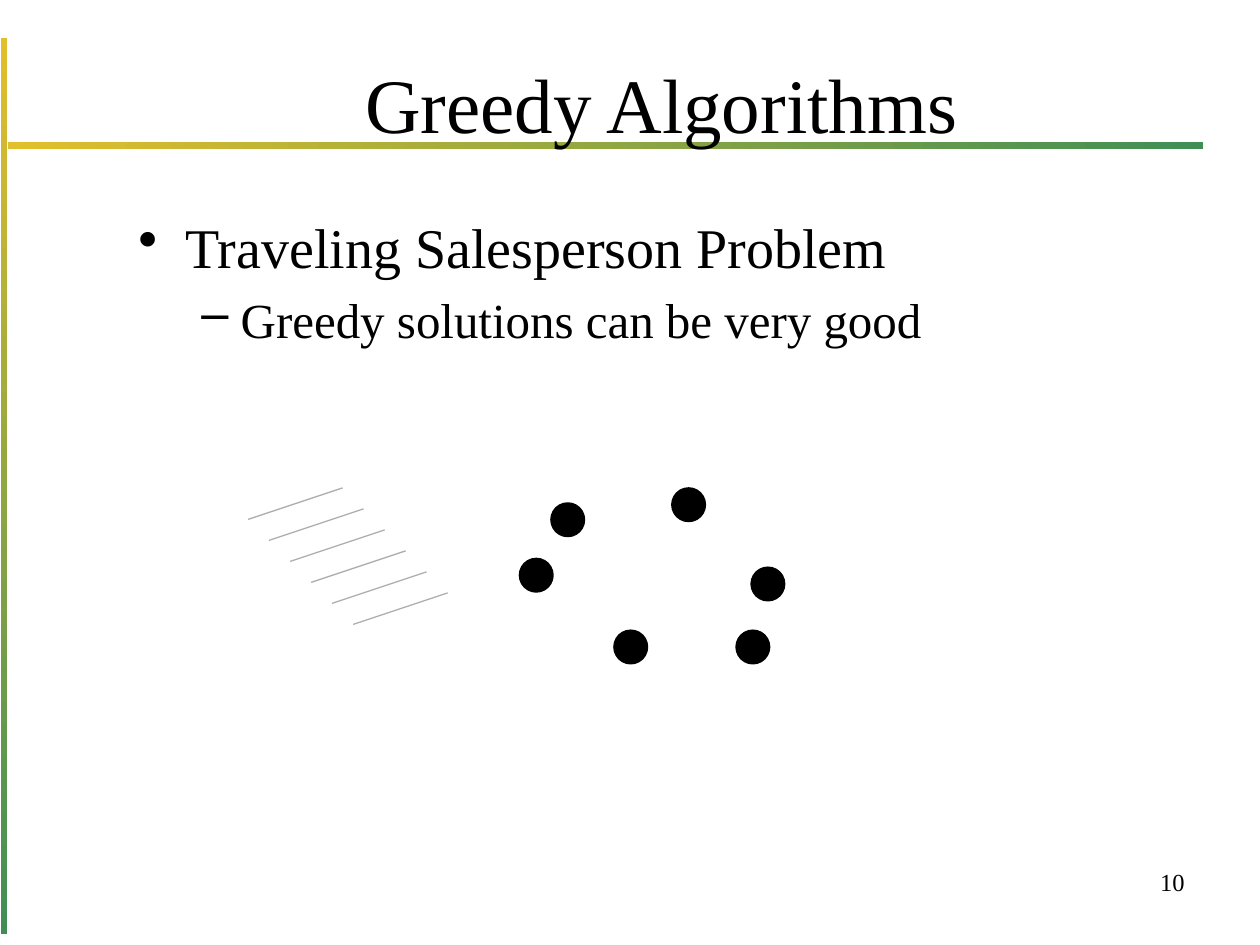
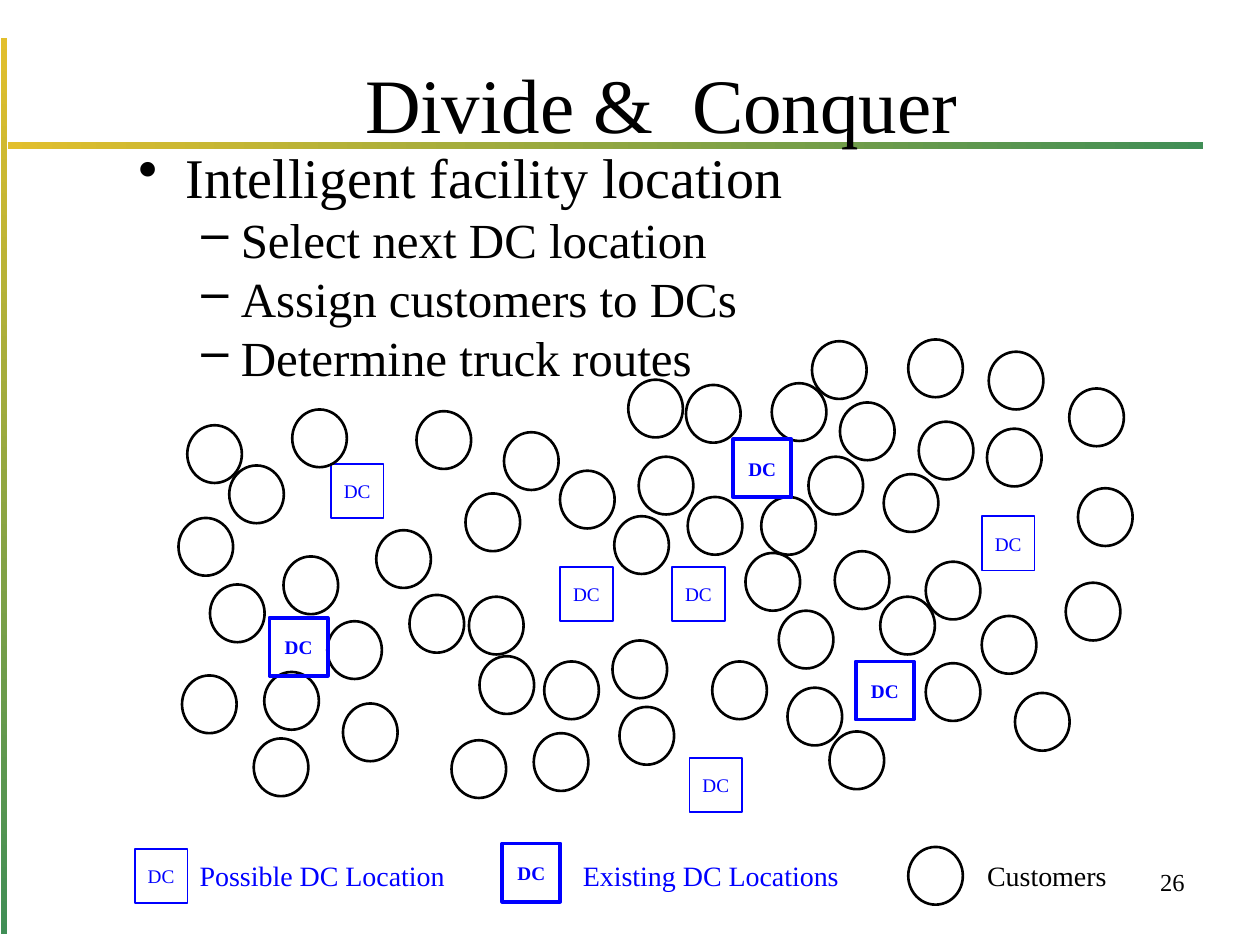
from dataclasses import dataclass

from lxml.etree import SubElement
from pptx import Presentation
from pptx.dml.color import RGBColor as RGB
from pptx.enum.shapes import MSO_CONNECTOR as CONN, MSO_SHAPE as SHAPE
from pptx.enum.text import MSO_ANCHOR as ANCHOR, MSO_AUTO_SIZE as AUTO, PP_ALIGN as ALIGN
from pptx.oxml.ns import qn
from pptx.util import Pt


@dataclass(frozen=True)
class Theme:
    font: str = "Times New Roman"
    black: RGB = RGB(0, 0, 0)
    blue: RGB = RGB(0, 0, 0xFF)
    gray: RGB = RGB(0xAE, 0xAE, 0xAE)
    band_start: RGB = RGB(0xE2, 0xBF, 0x2C)
    band_end: RGB = RGB(0x40, 0x8E, 0x56)
    title: int = 44
    levels: tuple = (32, 28)
    legend: int = 16
    number: int = 14
    marker: int = 11


T = Theme()


@dataclass(frozen=True)
class Box:
    """A rectangle in points."""
    x: float
    y: float
    w: float
    h: float

    def emu(self) -> tuple:
        return Pt(self.x), Pt(self.y), Pt(self.w), Pt(self.h)


@dataclass(frozen=True)
class Marker:
    """A kind of symbol on a map."""
    shape: SHAPE
    w: float
    h: float
    color: RGB
    line: float
    filled: bool = False
    text: str = ""
    bold: bool = False


@dataclass(frozen=True)
class Bullet:
    char: str
    left: float
    hang: float


@dataclass(frozen=True)
class LegendEntry:
    marker: Marker
    at: tuple
    label: str
    label_x: float
    label_w: float


BULLETS = (Bullet("•", 27, 27), Bullet("–", 58.5, 22.5))
BANDS = ((Box(0.7, 21.6, 3.6, 512), 270), (Box(4.3, 81.4, 683.3, 3.6), 0))
TITLE_BOX = Box(72, 21.6, 612, 74.2)
NUMBER_BOX = Box(503.3, 491.8, 180.7, 37.4)

CITY = Marker(SHAPE.OVAL, 18, 18, T.black, 2, filled=True)
CUSTOMER = Marker(SHAPE.OVAL, 31.2, 33, T.black, 1.5)
POSSIBLE = Marker(SHAPE.RECTANGLE, 30.2, 31, T.blue, 1, text="DC")
EXISTING = Marker(SHAPE.RECTANGLE, 33.2, 33.2, T.blue, 2.25, text="DC", bold=True)

CITIES = ((351.4, 360.7), (384.5, 279.4), (315.4, 288), (297.4, 319.7),
          (421.2, 360.7), (429.8, 324.7))
CUSTOMERS = (
    (107, 243), (102, 296), (131, 266), (120, 334), (162, 318), (167, 234),
    (187, 355), (234, 340), (238, 235), (215, 303), (266, 282), (288, 247),
    (268, 341), (320, 269), (351, 295), (311, 378), (274, 375), (350, 366),
    (258, 423), (441, 219), (464, 195), (480, 230), (462, 261), (564, 245),
    (477, 315), (505, 271), (529, 321), (359, 217), (392, 220), (365, 261),
    (435, 284), (393, 284), (445, 349), (426, 316), (450, 393), (407, 378),
    (474, 418), (503, 341), (529, 379), (561, 352), (609, 333), (616, 279),
    (580, 396), (151, 384), (104, 386), (145, 422), (196, 402), (305, 419),
    (354, 404), (519, 194), (565, 201), (525, 241), (611, 222))
POSSIBLE_SITES = ((189, 265), (384, 324), (394, 433), (320, 324), (561, 295))
EXISTING_SITES = ((154, 353), (419, 251), (489, 378))
LEGEND = (
    LegendEntry(POSSIBLE, (77, 485), "Possible DC Location", 107, 156),
    LegendEntry(EXISTING, (287, 482), "Existing DC Locations", 326, 163),
    LegendEntry(CUSTOMER, (519, 484), "Customers", 557, 83.5))


# Text
def add_run(p, text: str, size: float, color: RGB = T.black, bold: bool = False) -> None:
    r = p.add_run()
    r.text = text
    r.font.name, r.font.size, r.font.bold = T.font, Pt(size), bold
    r.font.color.rgb = color


def add_label(slide, box: Box, text: str, size: float, color: RGB = T.black,
              align: ALIGN = ALIGN.LEFT, wrap: bool = True) -> None:
    tf = slide.shapes.add_textbox(*box.emu()).text_frame
    tf.word_wrap = wrap
    tf.auto_size = AUTO.NONE if wrap else AUTO.SHAPE_TO_FIT_TEXT
    p = tf.paragraphs[0]
    p.alignment = align
    add_run(p, text, size, color)


def add_bullets(slide, box: Box, items: list, gap: float = 0) -> None:
    """Bulleted (level, text) items; gap is a share of the type size."""
    tf = slide.shapes.add_textbox(*box.emu()).text_frame
    tf.word_wrap = True
    for i, (level, text) in enumerate(items):
        p = tf.paragraphs[0] if i == 0 else tf.add_paragraph()
        bullet, size = BULLETS[level], T.levels[level]
        pPr = p._p.get_or_add_pPr()
        pPr.set("marL", str(Pt(bullet.left)))
        pPr.set("indent", str(-Pt(bullet.hang)))
        SubElement(pPr, qn("a:buChar")).set("char", bullet.char)
        p.level = level
        if i and gap:
            p.space_before = Pt(size * gap)
        add_run(p, text, size)


# Shapes
def add_marker(slide, m: Marker, at: tuple) -> None:
    sp = slide.shapes.add_shape(m.shape, *Box(*at, m.w, m.h).emu())
    sp.shadow.inherit = False
    if m.filled:
        sp.fill.solid()
        sp.fill.fore_color.rgb = m.color
    else:
        sp.fill.background()
    sp.line.color.rgb, sp.line.width = m.color, Pt(m.line)
    if m.text:
        tf = sp.text_frame
        tf.word_wrap, tf.vertical_anchor = False, ANCHOR.MIDDLE
        tf.paragraphs[0].alignment = ALIGN.CENTER
        add_run(tf.paragraphs[0], m.text, T.marker, m.color, m.bold)


def add_markers(slide, m: Marker, places: tuple) -> None:
    for at in places:
        add_marker(slide, m, at)


def add_hatching(slide, x: float, y: float, count: int, step: float) -> None:
    for i in range(count):
        x1, y1 = x + i * step, y + i * step
        line = slide.shapes.add_connector(
            CONN.STRAIGHT, Pt(x1), Pt(y1), Pt(x1 + 54), Pt(y1 - 18))
        line.line.color.rgb, line.line.width = T.gray, Pt(0.75)
        SubElement(line.element.spPr, qn("a:effectLst"))


# Shared slide frame
def add_bands(slide) -> None:
    """Place the gradient bands on the slide's layout, behind all content."""
    for box, angle in BANDS:
        sp = slide.shapes.add_shape(SHAPE.RECTANGLE, *box.emu())
        sp.shadow.inherit = False
        sp.line.fill.background()
        sp.fill.gradient()
        sp.fill.gradient_angle = angle
        for stop, color in zip(sp.fill.gradient_stops, (T.band_start, T.band_end)):
            stop.color.rgb = color
        slide.slide_layout.shapes.element.append(sp.element)


def new_slide(prs, title: str, number: int):
    slide = prs.slides.add_slide(prs.slide_layouts[5])
    sp = slide.shapes.title
    sp.left, sp.top, sp.width, sp.height = TITLE_BOX.emu()
    tf = sp.text_frame
    tf.vertical_anchor, tf.auto_size = ANCHOR.MIDDLE, AUTO.NONE
    tf.paragraphs[0].alignment = ALIGN.CENTER
    add_run(tf.paragraphs[0], title, T.title)
    add_label(slide, NUMBER_BOX, str(number), T.number, align=ALIGN.RIGHT)
    return slide


# Slides
def greedy_slide(prs):
    slide = new_slide(prs, "Greedy Algorithms", 10)
    add_bullets(slide, Box(72, 118, 612, 368.6),
                [(0, "Traveling Salesperson Problem"),
                 (1, "Greedy solutions can be very good")], gap=0.2)
    add_markers(slide, CITY, CITIES)
    add_hatching(slide, 141.8, 296.8, count=6, step=12)
    return slide


def divide_slide(prs):
    slide = new_slide(prs, "Divide &  Conquer", 26)
    add_bullets(slide, Box(72, 77.8, 654.5, 386.6),
                [(0, "Intelligent facility location"),
                 (1, "Select next DC location"),
                 (1, "Assign customers to DCs"),
                 (1, "Determine truck routes")])
    add_markers(slide, POSSIBLE, POSSIBLE_SITES)
    add_markers(slide, CUSTOMER, CUSTOMERS)
    add_markers(slide, EXISTING, EXISTING_SITES)
    for entry in LEGEND:
        add_marker(slide, entry.marker, entry.at)
        add_label(slide, Box(entry.label_x, 487, entry.label_w, 26.6), entry.label,
                  T.legend, entry.marker.color, wrap=False)
    return slide


def main() -> None:
    prs = Presentation()
    prs.slide_width, prs.slide_height = Pt(720), Pt(540)
    add_bands(greedy_slide(prs))
    divide_slide(prs)
    prs.save("out.pptx")


if __name__ == "__main__":
    main()
